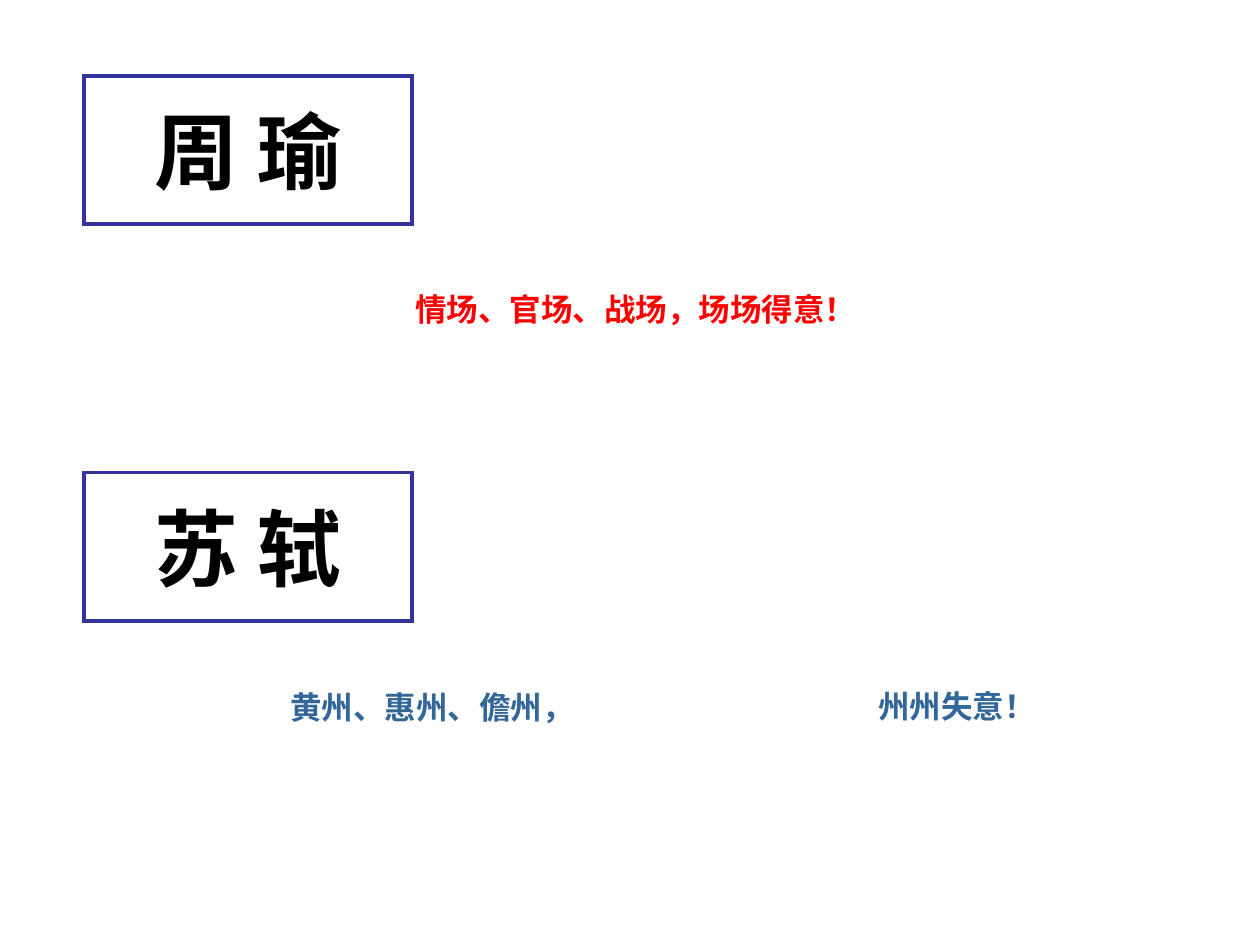
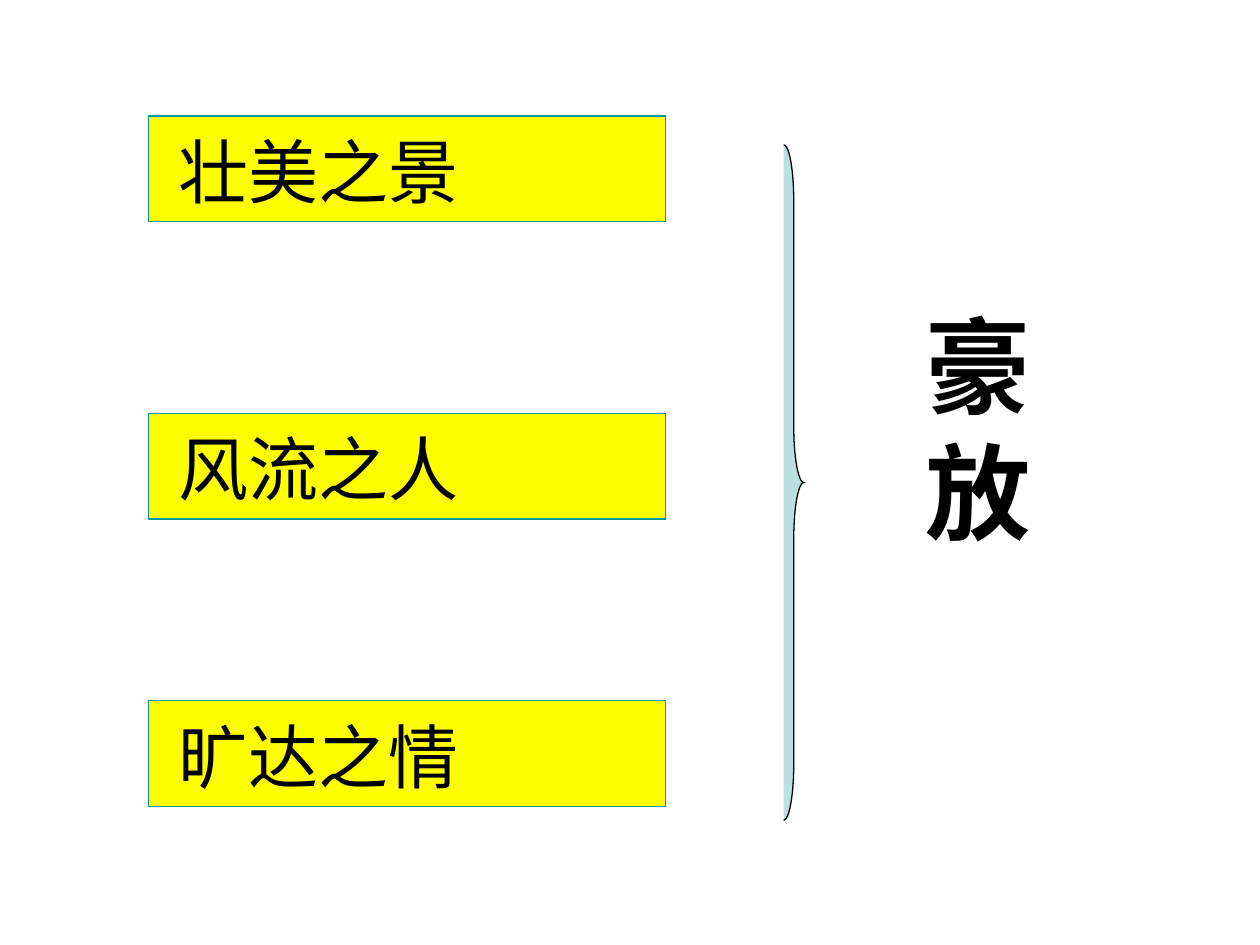
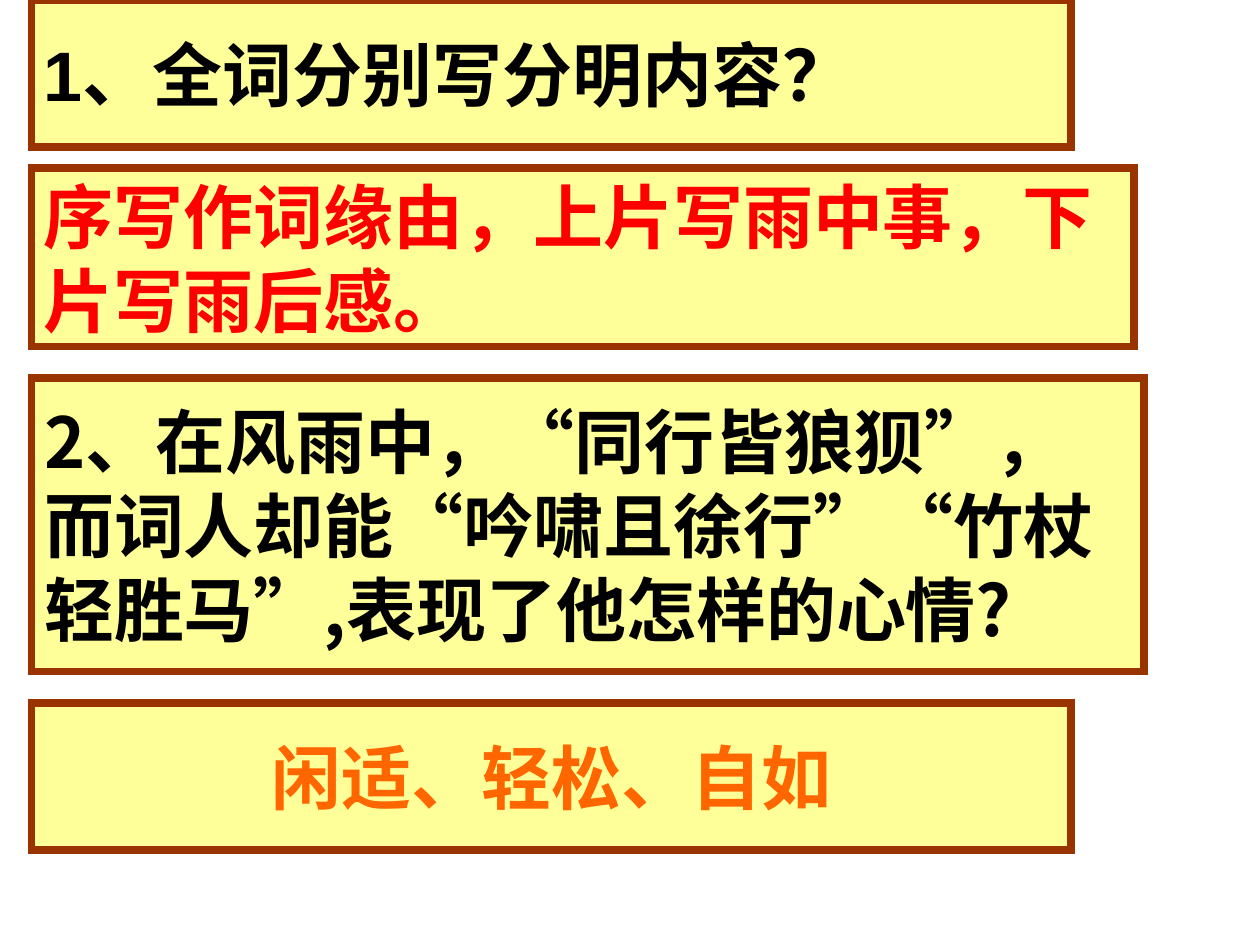
from lxml.etree import SubElement
from pptx import Presentation
from pptx.dml.color import RGBColor
from pptx.enum.shapes import MSO_SHAPE
from pptx.enum.text import MSO_ANCHOR, MSO_AUTO_SIZE, PP_ALIGN
from pptx.oxml.ns import qn
from pptx.util import Inches, Pt

LATIN_FONT = "Arial"
CHINESE_FONT = "Noto Sans CJK SC"
BLACK, RED = "000000", "FF0000"
NAVY, STEEL = "333399", "336699"
YELLOW, TEAL, PALE_BLUE = "FFFF00", "009999", "BBE0E3"
CREAM, BROWN, ORANGE = "FFFF99", "993300", "FF6600"
TITLE_ONLY, BLANK = 5, 6


def color(hex_value):
    return RGBColor.from_string(hex_value)


def write(shape, text, size, text_color=BLACK, font=CHINESE_FONT, bold=True,
          align=PP_ALIGN.LEFT, anchor=MSO_ANCHOR.TOP, wrap=True):
    frame = shape.text_frame
    frame.text = text
    frame.word_wrap = wrap
    frame.auto_size = MSO_AUTO_SIZE.NONE
    frame.vertical_anchor = anchor
    paragraph = frame.paragraphs[0]
    paragraph.alignment = align
    paragraph.font.size = Pt(size)
    paragraph.font.bold = bold
    paragraph.font.color.rgb = color(text_color)
    paragraph.font.name = font
    properties = paragraph._p.pPr.find(qn("a:defRPr"))
    SubElement(properties, qn("a:ea"), typeface=CHINESE_FONT)


def style(shape, fill, line, line_width):
    """Set fill and outline, with square outline corners."""
    if fill:
        shape.fill.solid()
        shape.fill.fore_color.rgb = color(fill)
    else:
        shape.fill.background()
    shape.line.color.rgb = color(line)
    shape.line.width = Pt(line_width)
    outline = shape._element.spPr.find(qn("a:ln"))
    SubElement(outline, qn("a:miter"), lim="800000")


def add_box(slide, kind, box, fill, line, line_width):
    shape = slide.shapes.add_shape(kind, *map(Inches, box))
    shape.shadow.inherit = False
    style(shape, fill, line, line_width)
    return shape


def add_text(slide, box, text, size, **formatting):
    write(slide.shapes.add_textbox(*map(Inches, box)), text, size, **formatting)


def add_person(slide, left, top, name, remarks, remark_color):
    """Framed name with remarks placed by offsets from its top left corner."""
    frame = add_box(slide, MSO_SHAPE.FLOWCHART_PROCESS, (left, top, 2.6, 1.18),
                    None, NAVY, 2.25)
    write(frame, name, 48, font=LATIN_FONT, align=PP_ALIGN.CENTER,
          anchor=MSO_ANCHOR.MIDDLE, wrap=False)
    for text, (x, y, width, height) in remarks:
        add_text(slide, (left + x, top + y, width, height), text, 18,
                 text_color=remark_color, align=PP_ALIGN.CENTER)


def build_comparison(presentation):
    slide = presentation.slides.add_slide(presentation.slide_layouts[BLANK])
    add_person(slide, 0.67, 0.6, "周 瑜",
               [("情场、官场、战场，场场得意！", (0.4, 1.65, 7.95, 1.34))], RED)
    add_person(slide, 0.67, 3.75, "苏 轼",
               [("黄州、惠州、儋州，", (0.16, 1.66, 5.2, 1.1)),
                ("州州失意！", (5.43, 1.65, 2.99, 1.1))], STEEL)


def add_theme(slide, left, top, text):
    shape = add_box(slide, MSO_SHAPE.RECTANGLE, (left, top, 4.1, 0.84),
                    YELLOW, TEAL, 0.75)
    write(shape, text, 40, bold=False)
    shape.text_frame.margin_left = Inches(0.24)
    shape.text_frame.margin_top = Inches(0.1)


def build_summary(presentation):
    slide = presentation.slides.add_slide(presentation.slide_layouts[BLANK])
    themes = [("壮美之景", 0.92), ("风流之人", 3.28), ("旷达之情", 5.56)]
    for text, top in themes:
        add_theme(slide, 1.18, top, text)
    brace = add_box(slide, MSO_SHAPE.RIGHT_BRACE, (6.22, 1.15, 0.16, 5.36),
                    PALE_BLUE, BLACK, 0.75)
    brace.adjustments[0] = 2.8
    add_text(slide, (7.25, 2.34, 1.34, 2.1), "豪放", 60, font=LATIN_FONT)


def build_questions(presentation):
    slide = presentation.slides.add_slide(presentation.slide_layouts[TITLE_ONLY])
    left = 0.25
    title = slide.shapes.title
    title.left, title.top, title.width, title.height = map(
        Inches, (left, 3, 8.83, 2.33))
    style(title, CREAM, BROWN, 4.5)
    write(title, "2、在风雨中，“同行皆狼狈”，而词人却能“吟啸且徐行”“竹杖轻胜马”,表现了他怎样的心情?",
          40, anchor=MSO_ANCHOR.MIDDLE)
    panels = [
        ("1、全词分别写分明内容？", 0, 8.25, 1.17, BLACK, LATIN_FONT, PP_ALIGN.LEFT),
        ("序写作词缘由，上片写雨中事，下片写雨后感。", 1.33, 8.75, 1.42, RED,
         LATIN_FONT, PP_ALIGN.LEFT),
        ("闲适、轻松、自如", 5.58, 8.25, 1.17, ORANGE, CHINESE_FONT, PP_ALIGN.CENTER),
    ]
    for text, top, width, height, text_color, font, align in panels:
        panel = add_box(slide, MSO_SHAPE.RECTANGLE, (left, top, width, height),
                        CREAM, BROWN, 4.5)
        write(panel, text, 40, text_color, font, align=align,
              anchor=MSO_ANCHOR.MIDDLE)


def main():
    presentation = Presentation()
    presentation.slide_width = Inches(10)
    presentation.slide_height = Inches(7.5)
    build_comparison(presentation)
    build_summary(presentation)
    build_questions(presentation)
    presentation.save("out.pptx")


if __name__ == "__main__":
    main()
